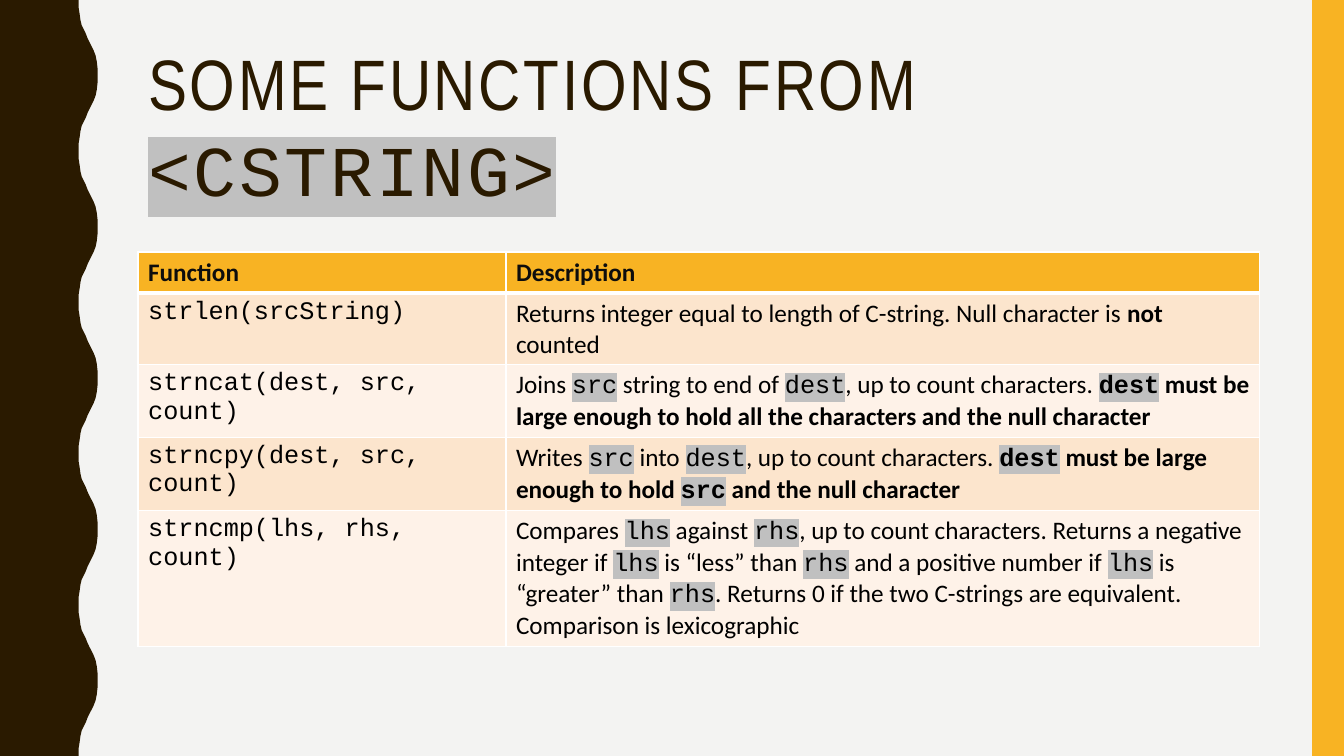
import pptx
import pptx.dml.color
import pptx.enum.shapes
import pptx.enum.text
import pptx.oxml.ns
import pptx.util
from lxml import etree

Cm = pptx.util.Cm
Pt = pptx.util.Pt
RGBColor = pptx.dml.color.RGBColor
qn = pptx.oxml.ns.qn

PAPER = RGBColor(0xF3, 0xF3, 0xF2)
BROWN = RGBColor(0x2A, 0x1A, 0x00)
AMBER = RGBColor(0xF8, 0xB3, 0x23)
PEACH = RGBColor(0xFC, 0xE5, 0xCD)
CREAM = RGBColor(0xFE, 0xF2, 0xE8)
WHITE = RGBColor(0xFF, 0xFF, 0xFF)
BLACK = RGBColor(0x00, 0x00, 0x00)
CHARCOAL = RGBColor(0x0D, 0x0D, 0x0D)
SILVER = RGBColor(0xC0, 0xC0, 0xC0)

TITLE_FONT = "Arial Narrow"
BODY_FONT = "Calibri"
CODE_FONT = "Courier New"

SLIDE_WIDTH, SLIDE_HEIGHT = 33.87, 19.05
CONTENT_LEFT, CONTENT_WIDTH = 3.48, 28.27
COLUMN_WIDTHS = (9.27, 19)
ROW_HEIGHTS = (1.04, 1.78, 1.78, 1.78, 3.3)

WAVE_PERIOD = 3.81
WAVE_RISE = (
    (0, 1.98), (0.18, 1.98), (0.36, 2.01), (0.51, 2.03), (0.64, 2.06),
    (0.74, 2.11), (0.84, 2.16), (0.97, 2.21), (1.07, 2.26), (1.17, 2.31),
    (1.27, 2.36), (1.4, 2.41), (1.55, 2.44), (1.73, 2.46), (1.91, 2.46),
)

FUNCTIONS = (
    ("strlen(srcString)",
     "Returns integer equal to length of C-string. Null character is *not* counted"),
    ("strncat(dest, src, count)",
     "Joins `src` string to end of `dest`, up to count characters. "
     "*`dest` must be large enough to hold all the characters and the null character*"),
    ("strncpy(dest, src, count)",
     "Writes `src` into `dest`, up to count characters. "
     "*`dest` must be large enough to hold `src` and the null character*"),
    ("strncmp(lhs, rhs, count)",
     "Compares `lhs` against `rhs`, up to count characters. Returns a negative integer "
     "if `lhs` is “less” than `rhs` and a positive number if `lhs` is “greater” than "
     "`rhs`. Returns 0 if the two C-strings are equivalent. Comparison is lexicographic"),
)


class SlideBuilder:
    def __init__(self, presentation):
        self.slide = presentation.slides.add_slide(presentation.slide_layouts[5])
        fill = self.slide.background.fill
        fill.solid()
        fill.fore_color.rgb = PAPER

    def paint(self, shape, color):
        shape.shadow.inherit = False
        shape.fill.solid()
        shape.fill.fore_color.rgb = color
        shape.line.fill.background()

    def wave(self):
        fall = [(WAVE_PERIOD - y, x) for y, x in reversed(WAVE_RISE[1:-1])]
        points = [
            (Cm(x), Cm(period * WAVE_PERIOD + y))
            for period in range(5)
            for y, x in (*WAVE_RISE, *fall)
        ]
        points += [(Cm(WAVE_RISE[0][1]), Cm(SLIDE_HEIGHT)), (0, Cm(SLIDE_HEIGHT))]
        builder = self.slide.shapes.build_freeform(0, 0)
        builder.add_line_segments(points, close=True)
        self.paint(builder.convert_to_shape(), BROWN)

    def bar(self, left, width):
        shape = self.slide.shapes.add_shape(
            pptx.enum.shapes.MSO_SHAPE.RECTANGLE,
            Cm(left), 0, Cm(width), Cm(SLIDE_HEIGHT))
        self.paint(shape, AMBER)

    def run(self, paragraph, text, font, size, color, bold=False, highlighted=False):
        run = paragraph.add_run()
        run.text = text
        run.font.size = Pt(size)
        run.font.bold = bold
        run.font.color.rgb = color
        if highlighted:
            highlight = etree.SubElement(run.font._element, qn("a:highlight"))
            etree.SubElement(highlight, qn("a:srgbClr"), val=str(SILVER))
        run.font.name = font
        return run

    def title(self, text, code):
        shape = self.slide.shapes.title
        shape.left, shape.top = Cm(CONTENT_LEFT), Cm(1.07)
        shape.width, shape.height = Cm(CONTENT_WIDTH), Cm(4.14)
        frame = shape.text_frame
        frame.word_wrap = True
        frame.auto_size = pptx.enum.text.MSO_AUTO_SIZE.NONE
        frame.vertical_anchor = pptx.enum.text.MSO_ANCHOR.MIDDLE
        paragraph = frame.paragraphs[0]
        paragraph.alignment = pptx.enum.text.PP_ALIGN.LEFT
        paragraph.line_spacing = 1.0
        for run in (
            self.run(paragraph, text, TITLE_FONT, 51, BROWN),
            self.run(paragraph, code, CODE_FONT, 51, BROWN, highlighted=True),
        ):
            run.font._element.set("spc", "200")

    def marked_text(self, paragraph, text):
        for part_index, part in enumerate(text.split("*")):
            for piece_index, piece in enumerate(part.split("`")):
                if piece:
                    is_code = piece_index % 2 == 1
                    self.run(paragraph, piece, CODE_FONT if is_code else BODY_FONT,
                             18, BLACK, part_index % 2 == 1, is_code)

    def format_cell(self, cell, color, bottom_width):
        cell.fill.solid()
        cell.fill.fore_color.rgb = color
        properties = cell._tc.get_or_add_tcPr()
        sides = (("L", 1), ("R", 1), ("T", 1), ("B", bottom_width))
        for index, (side, width) in enumerate(sides):
            line = etree.Element(qn(f"a:ln{side}"), w=str(Pt(width)))
            fill = etree.SubElement(line, qn("a:solidFill"))
            etree.SubElement(fill, qn("a:srgbClr"), val=str(WHITE))
            properties.insert(index, line)

    def table(self, headings, functions):
        table = self.slide.shapes.add_table(
            len(functions) + 1, len(headings), Cm(CONTENT_LEFT), Cm(6.35),
            Cm(CONTENT_WIDTH), Cm(sum(ROW_HEIGHTS))).table
        for column, width in zip(table.columns, COLUMN_WIDTHS):
            column.width = Cm(width)
        for row, height in zip(table.rows, ROW_HEIGHTS):
            row.height = Cm(height)
        for cell, heading in zip(table.rows[0].cells, headings):
            self.format_cell(cell, AMBER, 3)
            self.run(cell.text_frame.paragraphs[0], heading, BODY_FONT, 18, CHARCOAL, True)
        for index, (signature, description) in enumerate(functions, 1):
            name_cell, description_cell = table.rows[index].cells
            for cell in (name_cell, description_cell):
                self.format_cell(cell, PEACH if index % 2 else CREAM, 1)
            self.run(name_cell.text_frame.paragraphs[0], signature, CODE_FONT, 18, BLACK)
            self.marked_text(description_cell.text_frame.paragraphs[0], description)


def main():
    presentation = pptx.Presentation()
    presentation.slide_width = Cm(SLIDE_WIDTH)
    presentation.slide_height = Cm(SLIDE_HEIGHT)
    builder = SlideBuilder(presentation)
    builder.wave()
    builder.bar(33.07, 0.8)
    builder.title("SOME FUNCTIONS FROM ", "<CSTRING>")
    builder.table(("Function", "Description"), FUNCTIONS)
    presentation.save("out.pptx")


if __name__ == "__main__":
    main()
